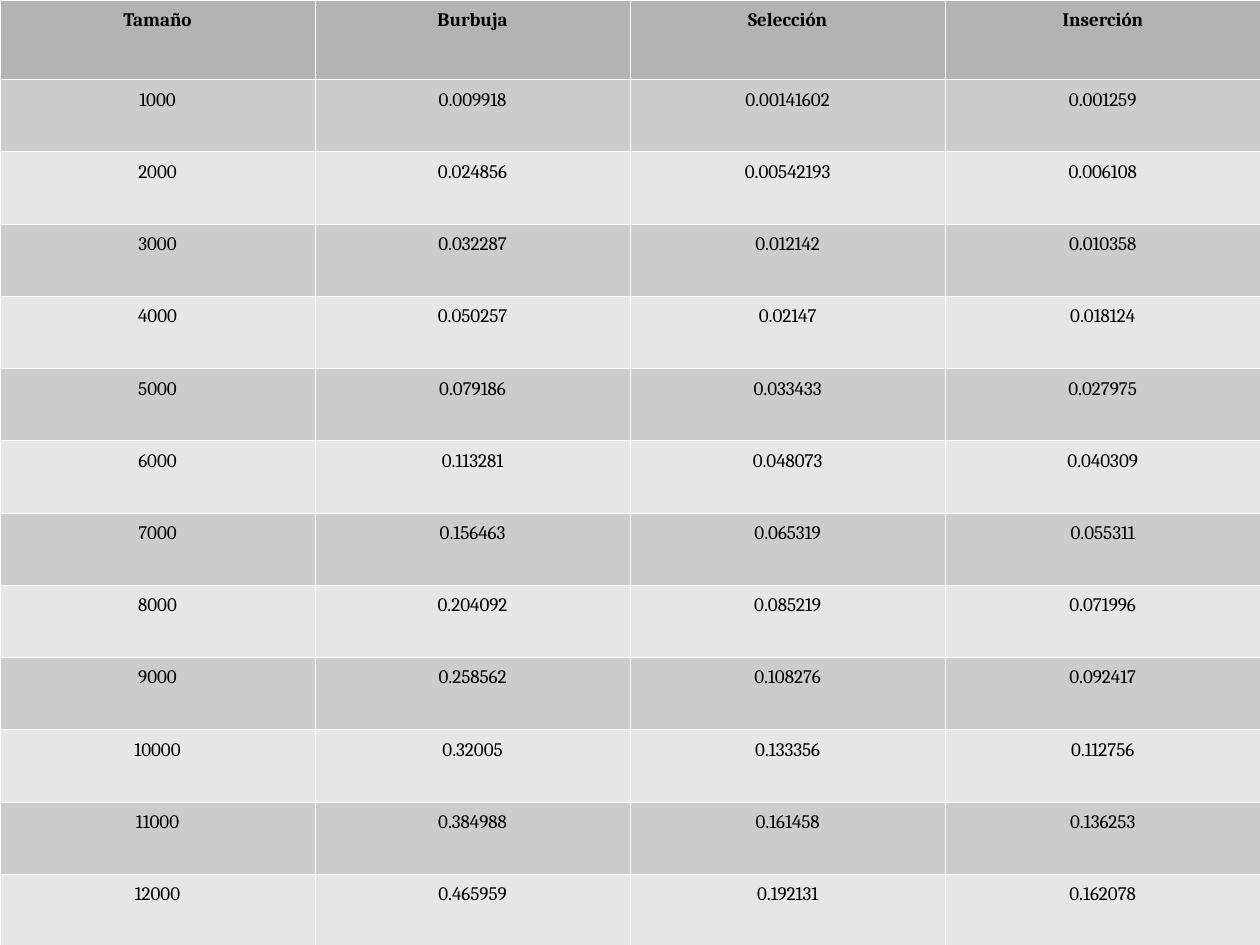
from lxml import etree
from pptx import Presentation
from pptx.dml.color import RGBColor
from pptx.enum.text import MSO_ANCHOR, PP_ALIGN
from pptx.oxml.ns import qn
from pptx.util import Pt

CENTER = PP_ALIGN.CENTER
TOP = MSO_ANCHOR.TOP

HEADER = ("Tamaño", "Burbuja", "Selección", "Inserción")
TIMES = [
    ("1000", "0.009918", "0.00141602", "0.001259"),
    ("2000", "0.024856", "0.00542193", "0.006108"),
    ("3000", "0.032287", "0.012142", "0.010358"),
    ("4000", "0.050257", "0.02147", "0.018124"),
    ("5000", "0.079186", "0.033433", "0.027975"),
    ("6000", "0.113281", "0.048073", "0.040309"),
    ("7000", "0.156463", "0.065319", "0.055311"),
    ("8000", "0.204092", "0.085219", "0.071996"),
    ("9000", "0.258562", "0.108276", "0.092417"),
    ("10000", "0.32005", "0.133356", "0.112756"),
    ("11000", "0.384988", "0.161458", "0.136253"),
    ("12000", "0.465959", "0.192131", "0.162078"),
]
HEADER_FILL = "B3B3B3"
BAND_FILLS = ("CCCCCC", "E6E6E6")
BORDER = "FFFFFF"

SLIDE_W, SLIDE_H = 793.75, 595.25
COL_W = 198.5
HEADER_H, ROW_H = 50, 45.5


def rgb(value):
    return RGBColor.from_string(value)


def set_borders(cell, color, width):
    props = cell._tc.get_or_add_tcPr()
    for i, side in enumerate(("a:lnL", "a:lnR", "a:lnT", "a:lnB")):
        ln = etree.Element(qn(side), w=str(Pt(width)))
        fill = etree.SubElement(ln, qn("a:solidFill"))
        etree.SubElement(fill, qn("a:srgbClr"), val=color)
        props.insert(i, ln)


def write_cell(cell, text, fill, font="Cambria", size=12, color="000000", bold=False):
    cell.fill.solid()
    cell.fill.fore_color.rgb = rgb(fill)
    cell.vertical_anchor = TOP
    cell.margin_left = cell.margin_right = Pt(7.2)
    cell.margin_top = cell.margin_bottom = Pt(3.6)
    set_borders(cell, BORDER, 0.11)
    p = cell.text_frame.paragraphs[0]
    p.alignment = CENTER
    p.line_spacing = 1.18
    r = p.add_run()
    r.text = text
    r.font.name = font
    r.font.size = Pt(size)
    r.font.bold = bold
    r.font.color.rgb = rgb(color)


def main():
    prs = Presentation()
    prs.slide_width, prs.slide_height = Pt(SLIDE_W), Pt(SLIDE_H)
    slide = prs.slides.add_slide(prs.slide_layouts[6])

    rows = [HEADER] + TIMES
    table = slide.shapes.add_table(
        len(rows), len(HEADER), Pt(0), Pt(0),
        Pt(COL_W * len(HEADER)), Pt(HEADER_H + ROW_H * len(TIMES))).table
    table.horz_banding = False
    for column in table.columns:
        column.width = Pt(COL_W)

    for i, values in enumerate(rows):
        is_header = i == 0
        table.rows[i].height = Pt(HEADER_H if is_header else ROW_H)
        fill = HEADER_FILL if is_header else BAND_FILLS[(i - 1) % 2]
        for j, value in enumerate(values):
            write_cell(table.cell(i, j), value, fill, bold=is_header)

    prs.save("out.pptx")


if __name__ == "__main__":
    main()
